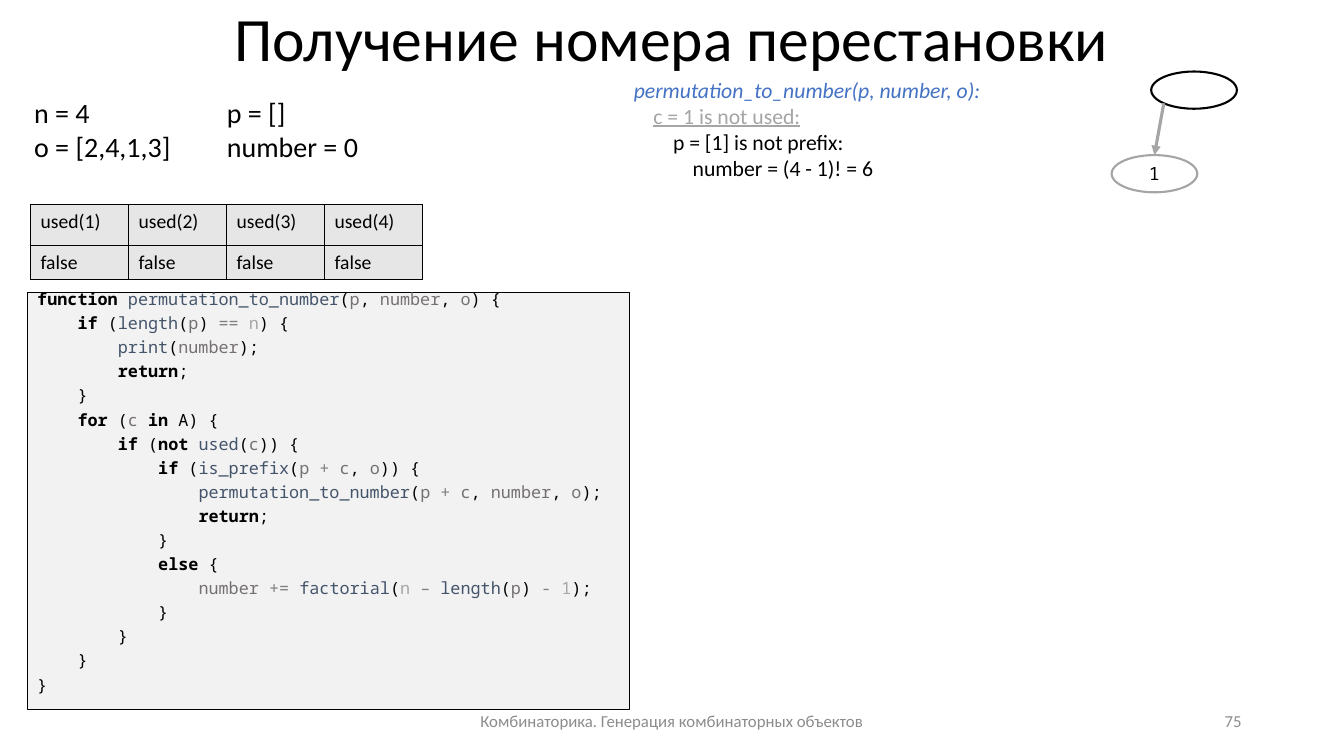
from itertools import groupby

from lxml.etree import SubElement
from pptx import Presentation
from pptx.dml.color import RGBColor
from pptx.enum.shapes import MSO_CONNECTOR, MSO_SHAPE
from pptx.enum.text import MSO_ANCHOR, MSO_AUTO_SIZE, PP_ALIGN
from pptx.oxml.ns import qn
from pptx.util import Pt

BLACK = RGBColor(0x00, 0x00, 0x00)
WHITE = RGBColor(0xFF, 0xFF, 0xFF)
BLUE = RGBColor(0x44, 0x72, 0xC4)
GRAY = RGBColor(0xA5, 0xA5, 0xA5)
FOOTER_GRAY = RGBColor(0x8C, 0x8C, 0x8C)
CELL_FILL = RGBColor(0xE7, 0xE6, 0xE6)
CODE_FILL = RGBColor(0xF2, 0xF2, 0xF2)
FUNCTION_COLOR = RGBColor(0x44, 0x54, 0x6A)
VARIABLE_COLOR = RGBColor(0x76, 0x71, 0x71)
OPERATOR_COLOR = RGBColor(0x80, 0x80, 0x80)
CONSTANT_COLOR = RGBColor(0xA6, 0xA6, 0xA6)
SANS = "Calibri"
MONO = "Noto Sans Mono"

# Content
TITLE = "Получение номера перестановки"
FOOTER = "Комбинаторика. Генерация комбинаторных объектов"
SLIDE_NUMBER = "75"
STATE = ["n = 4", "o = [2,4,1,3]", "p = []", "number = 0"]
USED = [
    ["used(1)", "used(2)", "used(3)", "used(4)"],
    ["false", "false", "false", "false"],
]
TRACE = [
    ("permutation_to_number(p, number, o):", {"color": BLUE, "italic": True}),
    ("c = 1 is not used:", {"color": GRAY, "underline": True}),
    ("p = [1] is not prefix:", {}),
    ("number = (4 - 1)! = 6", {}),
]
CODE = """\
function permutation_to_number(p, number, o) {
    if (length(p) == n) {
        print(number);
        return;
    }
    for (c in A) {
        if (not used(c)) {
            if (is_prefix(p + c, o)) {
                permutation_to_number(p + c, number, o);
                return;
            }
            else {
                number += factorial(n – length(p) - 1);
            }
        }
    }
}"""
KEYWORDS = {"function", "if", "return", "for", "in", "not", "else"}
OPERATORS = "=+–-"
TOKEN_COLORS = {
    **dict.fromkeys(["permutation_to_number", "length", "print", "used",
                     "is_prefix", "factorial"], FUNCTION_COLOR),
    **dict.fromkeys(["p", "number", "o", "c"], VARIABLE_COLOR),
    **dict.fromkeys(["==", "+", "+=", "–", "-"], OPERATOR_COLOR),
    **dict.fromkeys(["n", "1"], CONSTANT_COLOR),
}


def write(paragraph, text, size=12, font=SANS, color=BLACK, bold=False,
          italic=False, underline=False, align=PP_ALIGN.LEFT):
    paragraph.alignment = align
    run = paragraph.add_run()
    run.text = text
    run.font.size = Pt(size)
    run.font.name = font
    run.font.color.rgb = color
    run.font.bold = bold
    run.font.italic = italic
    run.font.underline = underline


def add_paragraphs(frame, count):
    for _ in range(count - 1):
        frame.add_paragraph()
    return frame.paragraphs


def add_text_box(left, top, width, height, anchor=MSO_ANCHOR.TOP):
    box = slide.shapes.add_textbox(Pt(left), Pt(top), Pt(width), Pt(height))
    frame = box.text_frame
    frame.word_wrap = True
    frame.vertical_anchor = anchor
    return frame


def add_outlined(preset, left, top, width, height, fill, line, weight):
    shape = slide.shapes.add_shape(preset, Pt(left), Pt(top), Pt(width), Pt(height))
    shape.shadow.inherit = False
    shape.fill.solid()
    shape.fill.fore_color.rgb = fill
    shape.line.color.rgb = line
    shape.line.width = Pt(weight)
    return shape


def token_kind(character):
    if character.isalnum() or character == "_":
        return "word"
    return "operator" if character in OPERATORS else "other"


def add_cell_borders(cell):
    properties = cell._tc.get_or_add_tcPr()
    for position, side in enumerate(["a:lnL", "a:lnR", "a:lnT", "a:lnB"]):
        line = SubElement(properties, qn(side), w=str(Pt(1)))
        fill = SubElement(line, qn("a:solidFill"))
        SubElement(fill, qn("a:srgbClr"), val=str(BLACK))
        properties.insert(position, line)


presentation = Presentation()
presentation.slide_width = Pt(960)
presentation.slide_height = Pt(540)
slide = presentation.slides.add_slide(presentation.slide_layouts[6])

# Title
title = add_text_box(66, -22.5, 828, 104.5, MSO_ANCHOR.MIDDLE).paragraphs[0]
title.line_spacing = 0.9
write(title, TITLE, size=44, align=PP_ALIGN.CENTER)

# Code listing
code_box = add_outlined(MSO_SHAPE.RECTANGLE, 19.5, 209, 430, 298, CODE_FILL, BLACK, 1)
code_frame = code_box.text_frame
code_frame.word_wrap = True
code_frame.vertical_anchor = MSO_ANCHOR.TOP
code_lines = CODE.splitlines()
for index, paragraph in enumerate(add_paragraphs(code_frame, len(code_lines))):
    paragraph.line_spacing = 0.5
    paragraph.space_before = Pt(10 if index else 0)
    for _, characters in groupby(code_lines[index], token_kind):
        token = "".join(characters)
        write(paragraph, token, font=MONO, bold=token in KEYWORDS,
              color=TOKEN_COLORS.get(token, BLACK))

# Current state in two columns
state_frame = add_text_box(17.3, 64.8, 289.5, 56)
state_frame.auto_size = MSO_AUTO_SIZE.SHAPE_TO_FIT_TEXT
state_frame._txBody.bodyPr.set("numCol", "2")
for paragraph, text in zip(add_paragraphs(state_frame, len(STATE)), STATE):
    write(paragraph, text, size=20)

# Call trace, one indent step per level
trace_frame = add_text_box(445.7, 51.1, 270.7, 82)
trace_frame.auto_size = MSO_AUTO_SIZE.SHAPE_TO_FIT_TEXT
for level, paragraph in enumerate(add_paragraphs(trace_frame, len(TRACE))):
    text, style = TRACE[level]
    paragraph._p.get_or_add_pPr().set("marL", str(Pt(14 * level)))
    write(paragraph, text, size=15.5, **style)

# Table of used elements
table = slide.shapes.add_table(2, 4, Pt(21.8), Pt(146.2), Pt(280), Pt(53.6)).table
for column in table.columns:
    column.width = Pt(70)
for row, height, texts in zip(table.rows, [29.3, 24.3], USED):
    row.height = Pt(height)
    for cell, text in zip(row.cells, texts):
        cell.fill.solid()
        cell.fill.fore_color.rgb = CELL_FILL
        add_cell_borders(cell)
        write(cell.text_frame.paragraphs[0], text, size=14)

# Search tree
add_outlined(MSO_SHAPE.OVAL, 822.3, 51.1, 61.2, 26.6, WHITE, BLACK, 1.5)
child = add_outlined(MSO_SHAPE.OVAL, 794, 110.8, 61.2, 26.6, WHITE, GRAY, 1.5)
child.text_frame.vertical_anchor = MSO_ANCHOR.MIDDLE
write(child.text_frame.paragraphs[0], "1", size=13, font=MONO, align=PP_ALIGN.CENTER)
branch = slide.shapes.add_connector(
    MSO_CONNECTOR.STRAIGHT, Pt(831.3), Pt(73.8), Pt(824.6), Pt(110.8))
branch.end_connect(child, 0)
branch.line.color.rgb = GRAY
branch.line.width = Pt(2.25)
SubElement(branch.line._get_or_add_ln(), qn("a:tailEnd"), type="triangle")
SubElement(branch._element.spPr, qn("a:effectLst"))

# Footer and slide number
for left, width, text, align in [(318, 324, FOOTER, PP_ALIGN.CENTER),
                                 (678, 216, SLIDE_NUMBER, PP_ALIGN.RIGHT)]:
    frame = add_text_box(left, 500.5, width, 28.8, MSO_ANCHOR.MIDDLE)
    write(frame.paragraphs[0], text, color=FOOTER_GRAY, align=align)

presentation.save("out.pptx")
